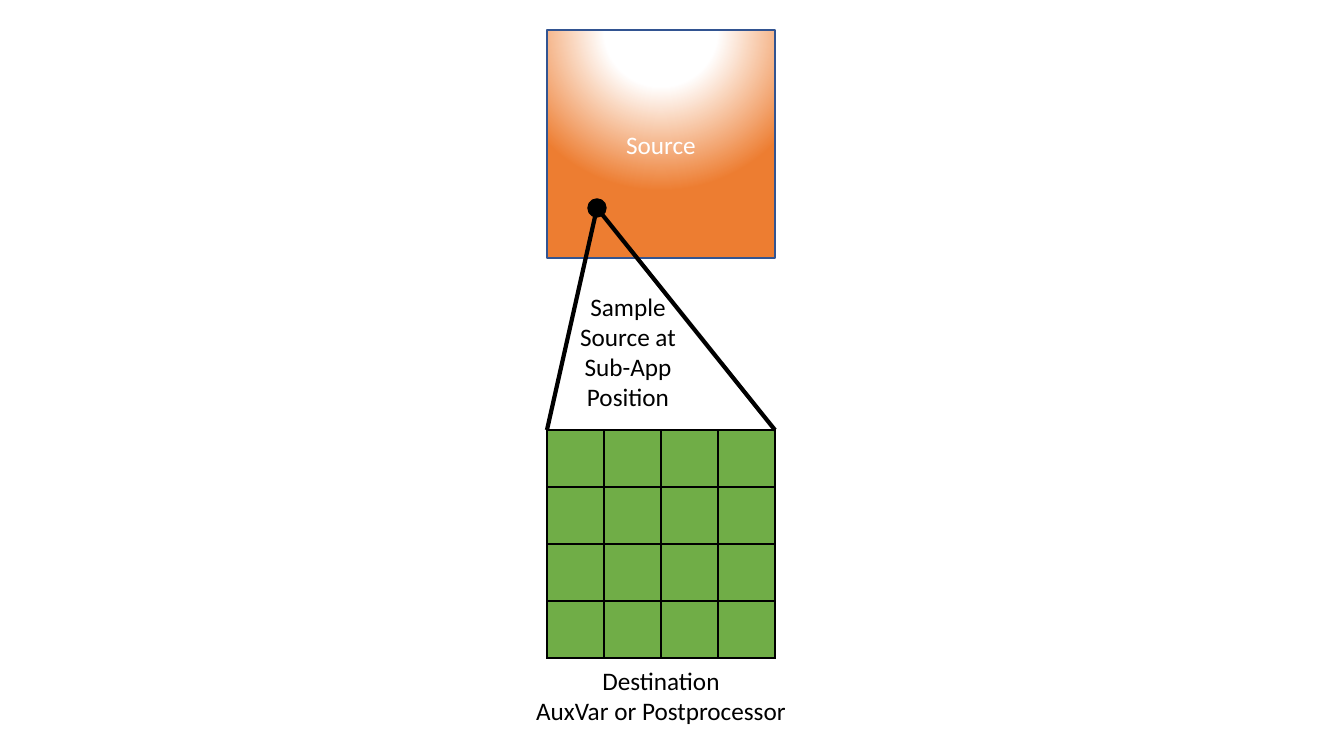
from lxml.etree import SubElement
from pptx import Presentation
from pptx.dml.color import RGBColor
from pptx.enum.shapes import MSO_CONNECTOR, MSO_SHAPE
from pptx.enum.text import MSO_ANCHOR, MSO_AUTO_SIZE, PP_ALIGN
from pptx.oxml import parse_xml
from pptx.oxml.ns import nsdecls, qn
from pptx.util import Pt

SCALE = 914400 / 100.8
COLORS = {"orange": "ED7D31", "outline": "325491", "green": "70AD47",
          "black": "000000", "white": "FFFFFF"}
LEFT, SIDE, CELLS = 547, 228, 4
SOURCE_TOP, GRID_TOP = 30, 430
SAMPLE_X, SAMPLE_Y, DOT = 597, 208, 18


def px(*lengths):
    return [round(length * SCALE) for length in lengths]


def write(shape, text, color):
    frame = shape.text_frame
    frame.text = text
    for para in frame.paragraphs:
        para.alignment = PP_ALIGN.CENTER
        for span in para.runs:
            span.font.name, span.font.size = "Calibri", Pt(18)
            span.font.color.rgb = RGBColor.from_string(COLORS[color])


deck = Presentation()
deck.slide_width, deck.slide_height = px(1344, 756)
page = deck.slides.add_slide(deck.slide_layouts[6])
black = RGBColor.from_string(COLORS["black"])

# Source square with a radial gradient centred above it
source = page.shapes.add_shape(MSO_SHAPE.RECTANGLE, *px(LEFT, SOURCE_TOP, SIDE, SIDE))
source.shadow.inherit = False
source.line.color.rgb = RGBColor.from_string(COLORS["outline"])
source.line.width = Pt(1)
source.fill.background()
stops = "".join(
    f'<a:gs pos="{percent * 1000}"><a:srgbClr val="{COLORS[name]}"/></a:gs>'
    for percent, name in ((0, "white"), (35, "white"), (100, "orange")))
gradient = parse_xml(
    f'<a:gradFill {nsdecls("a")} rotWithShape="1"><a:gsLst>{stops}</a:gsLst>'
    '<a:path path="circle"><a:fillToRect l="50000" t="-80000" r="50000" b="180000"/>'
    '</a:path></a:gradFill>')
properties = source._element.spPr
properties.replace(properties.find(qn("a:noFill")), gradient)
source.text_frame.vertical_anchor = MSO_ANCHOR.MIDDLE
write(source, "Source", "white")

# Destination grid
grid = page.shapes.add_table(CELLS, CELLS, *px(LEFT, GRID_TOP, SIDE, SIDE)).table
grid.first_row = grid.horz_banding = False
for cell in grid.iter_cells():
    cell.fill.solid()
    cell.fill.fore_color.rgb = RGBColor.from_string(COLORS["green"])
    borders = [parse_xml(
        f'<a:{edge} {nsdecls("a")} w="12700"><a:solidFill>'
        f'<a:srgbClr val="{COLORS["black"]}"/></a:solidFill></a:{edge}>')
        for edge in ("lnL", "lnR", "lnT", "lnB")]
    cell_properties = cell._tc.get_or_add_tcPr()
    for index, border in enumerate(borders):
        cell_properties.insert(index, border)

# Captions
for text, area, wraps in (
        ("Destination\nAuxVar or Postprocessor", (525, 660, 272, 71), False),
        ("Sample Source at\nSub-App Position", (554, 286, 148, 132), True)):
    box = page.shapes.add_textbox(*px(*area))
    box.text_frame.word_wrap = wraps
    box.text_frame.auto_size = MSO_AUTO_SIZE.SHAPE_TO_FIT_TEXT
    write(box, text, "black")

# Lines from the grid corners to the sample point
for corner in (LEFT, LEFT + SIDE):
    line = page.shapes.add_connector(
        MSO_CONNECTOR.STRAIGHT, *px(corner, GRID_TOP, SAMPLE_X, SAMPLE_Y))
    line.line.color.rgb = black
    line.line.width = Pt(3)
    SubElement(line._element.spPr, qn("a:effectLst"))

# Sample point
dot = page.shapes.add_shape(
    MSO_SHAPE.OVAL, *px(SAMPLE_X - DOT / 2, SAMPLE_Y - DOT / 2, DOT, DOT))
dot.shadow.inherit = False
dot.fill.solid()
dot.fill.fore_color.rgb = dot.line.color.rgb = black
dot.line.width = Pt(1)

deck.save("out.pptx")
